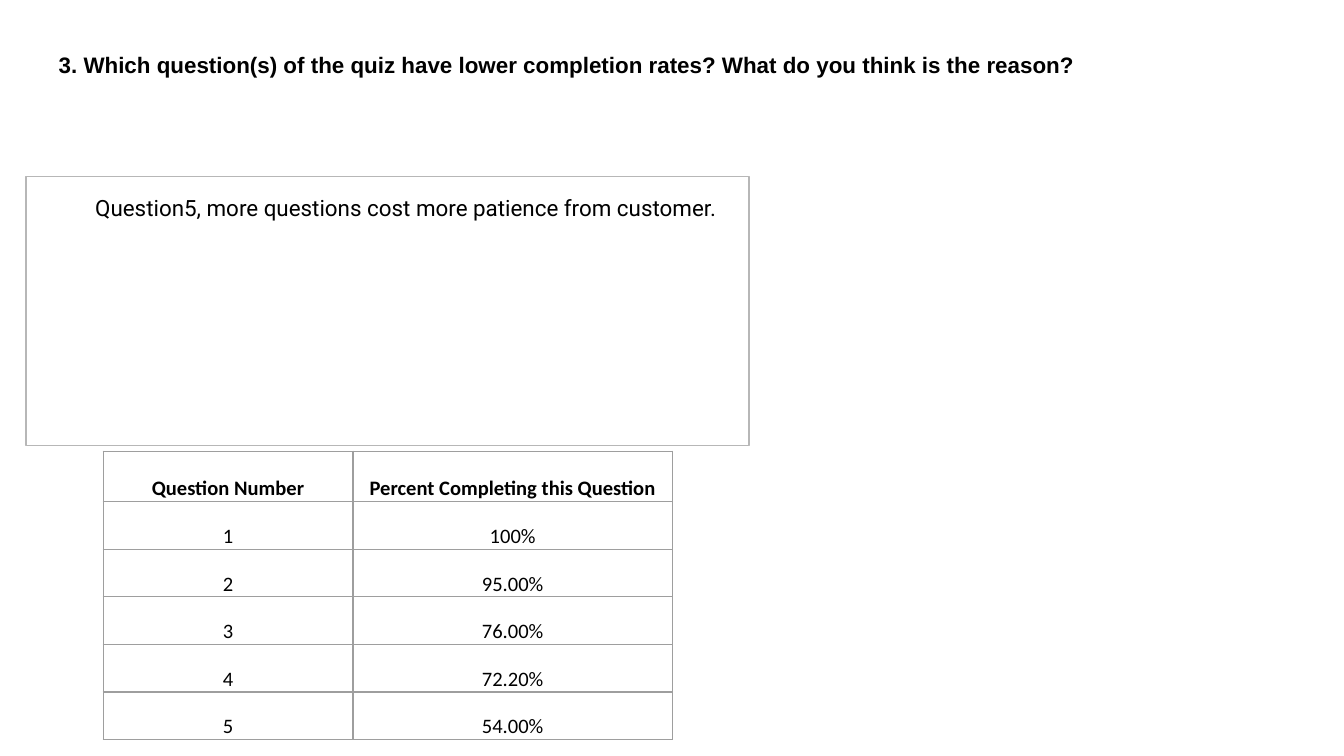
import dataclasses

import lxml.etree
import pptx
import pptx.dml.color
import pptx.enum.shapes
import pptx.enum.text
import pptx.oxml.ns
import pptx.util

Cm = pptx.util.Cm
Pt = pptx.util.Pt


@dataclasses.dataclass(frozen=True)
class Theme:
    """Colours, fonts and sizes of the slide."""
    ink: str = "000000"
    frame: str = "B7B7B7"
    grid: str = "9E9E9E"
    line: float = 0.75
    title_font: str = "Arial"
    answer_font: str = "Roboto"
    table_font: str = "Calibri"
    body_size: int = 12
    table_size: int = 11
    inset: float = 0.25


THEME = Theme()
COMPLETION = [
    ("Question Number", "Percent Completing this Question"),
    ("1", "100%"),
    ("2", "95.00%"),
    ("3", "76.00%"),
    ("4", "72.20%"),
    ("5", "54.00%"),
]


def colour(value):
    """Turn a hex string into a colour."""
    return pptx.dml.color.RGBColor.from_string(value)


def style_text(paragraph, font, size, bold=False):
    """Format every run of a paragraph."""
    for run in paragraph.runs:
        run.font.name = font
        run.font.size = Pt(size)
        run.font.bold = bold
        run.font.color.rgb = colour(THEME.ink)


def set_frame(frame, anchor):
    """Give a text frame wrapping, equal insets and an anchor."""
    frame.word_wrap = True
    frame.vertical_anchor = anchor
    frame.margin_left = frame.margin_right = Cm(THEME.inset)
    frame.margin_top = frame.margin_bottom = Cm(THEME.inset)


def add_title(slide, left, top, width, height, text):
    """Place the question that heads the slide."""
    title = slide.shapes.add_textbox(Cm(left), Cm(top), Cm(width), Cm(height))
    set_frame(title.text_frame, pptx.enum.text.MSO_ANCHOR.BOTTOM)
    title.text_frame.text = text
    question = title.text_frame.paragraphs[0]
    question.line_spacing = 2.0
    style_text(question, THEME.title_font, THEME.body_size, bold=True)


def add_answer(slide, left, top, width, height, text):
    """Place the outlined answer box with an indented sentence."""
    answer = slide.shapes.add_shape(
        pptx.enum.shapes.MSO_SHAPE.RECTANGLE, Cm(left), Cm(top), Cm(width), Cm(height))
    answer.shadow.inherit = False
    answer.fill.background()
    answer.line.color.rgb = colour(THEME.frame)
    answer.line.width = Pt(THEME.line)
    set_frame(answer.text_frame, pptx.enum.text.MSO_ANCHOR.TOP)
    answer.text_frame.text = text
    sentence = answer.text_frame.paragraphs[0]
    sentence.alignment = pptx.enum.text.PP_ALIGN.LEFT
    sentence.line_spacing = 1.15
    sentence._p.get_or_add_pPr().set("indent", str(Cm(1.06)))
    style_text(sentence, THEME.answer_font, THEME.body_size)


def add_borders(cell):
    """Draw the grid line on all four sides of a cell."""
    properties = cell._tc.get_or_add_tcPr()
    for position, side in enumerate(("lnL", "lnR", "lnT", "lnB")):
        border = lxml.etree.Element(
            pptx.oxml.ns.qn(f"a:{side}"), w=str(Pt(THEME.line)))
        fill = lxml.etree.SubElement(border, pptx.oxml.ns.qn("a:solidFill"))
        lxml.etree.SubElement(fill, pptx.oxml.ns.qn("a:srgbClr"), val=THEME.grid)
        properties.insert(position, border)


def add_completion_table(slide, left, top, widths, header_height, row_height, rows):
    """Place the table of completion rates."""
    heights = [header_height] + [row_height] * (len(rows) - 1)
    table = slide.shapes.add_table(
        len(rows), len(widths), Cm(left), Cm(top),
        Cm(sum(widths)), Cm(sum(heights))).table
    table.first_row = table.horz_banding = False
    for column, width in zip(table.columns, widths):
        column.width = Cm(width)
    for row, height, values in zip(table.rows, heights, rows):
        row.height = Cm(height)
        for cell, value in zip(row.cells, values):
            cell.fill.background()
            cell.margin_left = cell.margin_right = cell.margin_top = Cm(0.03)
            cell.margin_bottom = 0
            cell.vertical_anchor = pptx.enum.text.MSO_ANCHOR.BOTTOM
            cell.text_frame.text = value
            entry = cell.text_frame.paragraphs[0]
            entry.alignment = pptx.enum.text.PP_ALIGN.CENTER
            style_text(entry, THEME.table_font, THEME.table_size, bold=values is rows[0])
            add_borders(cell)


def main():
    """Build and save the slide."""
    deck = pptx.Presentation()
    deck.slide_width, deck.slide_height = Cm(25.4), Cm(14.29)
    slide = deck.slides.add_slide(deck.slide_layouts[6])
    add_title(
        slide, 0.86, 0.81, 23.67, 0.91,
        "3. Which question(s) of the quiz have lower completion rates? "
        "What do you think is the reason?")
    add_answer(
        slide, 0.49, 3.34, 13.67, 5.08,
        "Question5, more questions cost more patience from customer.")
    add_completion_table(slide, 1.95, 8.53, (4.72, 6.04), 0.95, 0.9, COMPLETION)
    deck.save("out.pptx")


if __name__ == "__main__":
    main()
